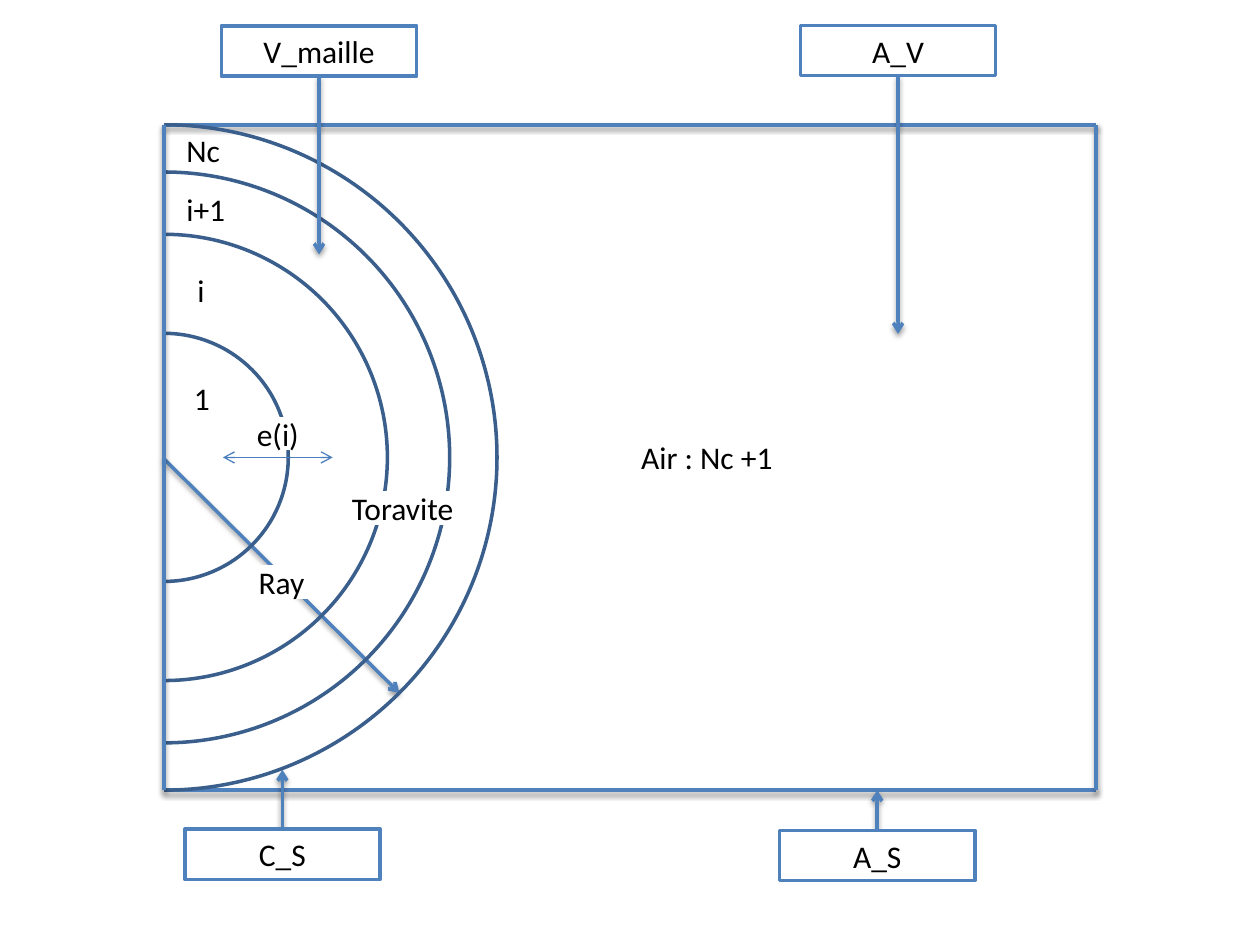
from lxml import etree
from pptx import Presentation
from pptx.dml.color import RGBColor
from pptx.enum import shapes, text
from pptx.oxml import ns
from pptx.util import Pt

COLORS = {"line": "4F81BD", "ring": "3A5F8C", "thin": "4B7EBC",
          "white": "FFFFFF", "text": "000000"}
FONT = {"name": "Calibri", "size": Pt(18)}


def rgb(name):
    return RGBColor.from_string(COLORS[name])


def style_line(line, color, width=2):
    line.color.rgb = rgb(color)
    line.width = Pt(width)


def sub(parent, tag, **attrs):
    return etree.SubElement(parent, ns.qn("a:" + tag), attrs)


def connect(sl, start, end, head=False, tail=False, color="line", width=2, shadow=True):
    c = sl.shapes.add_connector(shapes.MSO_CONNECTOR.STRAIGHT,
                                *[Pt(v) for v in (*start, *end)])
    style_line(c.line, color, width)
    ln = c.line._get_or_add_ln()
    for tag, wanted in (("headEnd", head), ("tailEnd", tail)):
        if wanted:
            sub(ln, tag, type="arrow")
    effects = sub(c._element.spPr, "effectLst")
    if shadow:
        outer = sub(effects, "outerShdw", blurRad=str(Pt(3.1)), dist=str(Pt(1.6)),
                    dir="5400000", rotWithShape="0")
        sub(sub(outer, "srgbClr", val=COLORS["text"]), "alpha", val="38000")


def write(sp, label, align, anchor):
    tf = sp.text_frame
    tf.word_wrap = True
    tf.vertical_anchor = anchor
    p = tf.paragraphs[0]
    p.alignment = align
    r = p.add_run()
    r.text = label
    for key, value in FONT.items():
        setattr(r.font, key, value)
    r.font.color.rgb = rgb("text")


def box(sl, label, x, y, w, h, border="line"):
    sp = sl.shapes.add_shape(shapes.MSO_SHAPE.RECTANGLE, *[Pt(v) for v in (x, y, w, h)])
    sp.shadow.inherit = False
    sp.fill.solid()
    sp.fill.fore_color.rgb = rgb("white")
    style_line(sp.line, border)
    write(sp, label, text.PP_ALIGN.CENTER, text.MSO_ANCHOR.MIDDLE)


def note(sl, label, x, y, w):
    tb = sl.shapes.add_textbox(Pt(x), Pt(y), Pt(w), Pt(29))
    write(tb, label, text.PP_ALIGN.LEFT, text.MSO_ANCHOR.TOP)


def half_ring(sl, cx, cy, radius):
    sp = sl.shapes.add_shape(shapes.MSO_SHAPE.ARC, Pt(cx - radius), Pt(cy - radius),
                             Pt(2 * radius), Pt(2 * radius))
    sp.adjustments[0], sp.adjustments[1] = 162, 54  # top round to bottom
    sp.shadow.inherit = False
    sp.fill.background()
    style_line(sp.line, "ring")


def draw_domain(sl, x, y, w, h):
    right, bottom, cy = x + w, y + h, y + h / 2
    # Radius arrow
    connect(sl, (x, cy + 0.7), (x + 134.6, cy + 134.6), tail=True)
    # Air walls
    for start, end in (((x, y), (right, y)), ((x, bottom), (right, bottom)),
                       ((right, y), (right, bottom))):
        connect(sl, start, end)
    # Mesh rings and symmetry axis
    for radius in (h / 2, 163.1, 127.5, 70.9):
        half_ring(sl, x + 0.3, cy, radius)
    connect(sl, (x, y), (x, bottom))
    # Ring thickness
    connect(sl, (x + 33.8, cy), (x + 96.5, cy), head=True, tail=True,
            color="thin", width=0.75, shadow=False)
    # Labels that break the lines
    for label, dx, dy, width in (("e(i)", 42.5, -22.3, 45.4),
                                 ("Toravite", 90, 20.2, 92.9),
                                 ("Ray", 44.6, 62.6, 45.4)):
        box(sl, label, x + dx, cy + dy, width, 17.3, "white")
    # Region names
    for label, dx, dy, width in (("Nc", 5.8, 0, 39.6), ("i+1", 5.8, 33.8, 47.5),
                                 ("i", 12.2, 79.9, 21.6), ("1", 10.1, 141.8, 25.2),
                                 ("Air : Nc +1", 265.7, 175.7, 141.8)):
        note(sl, label, x + dx, y + dy, width)


def draw_callout(sl, label, x, y, target_y, w=111.6, h=28.8):
    cx = x + w / 2
    connect(sl, (cx, y + h if target_y > y else y), (cx, target_y), tail=True)
    box(sl, label, x, y, w, h)


prs = Presentation()
prs.slide_width, prs.slide_height = Pt(720), Pt(540)
slide = prs.slides.add_slide(prs.slide_layouts[6])

draw_domain(slide, 93.6, 71.3, 532.8, 380.2)
for callout in (("V_maille", 126.5, 14.8, 145.4), ("A_V", 457.4, 14.5, 190.8),
                ("C_S", 105.6, 473.8, 439.9), ("A_S", 445.5, 474.5, 451.5)):
    draw_callout(slide, *callout)

prs.save("out.pptx")
